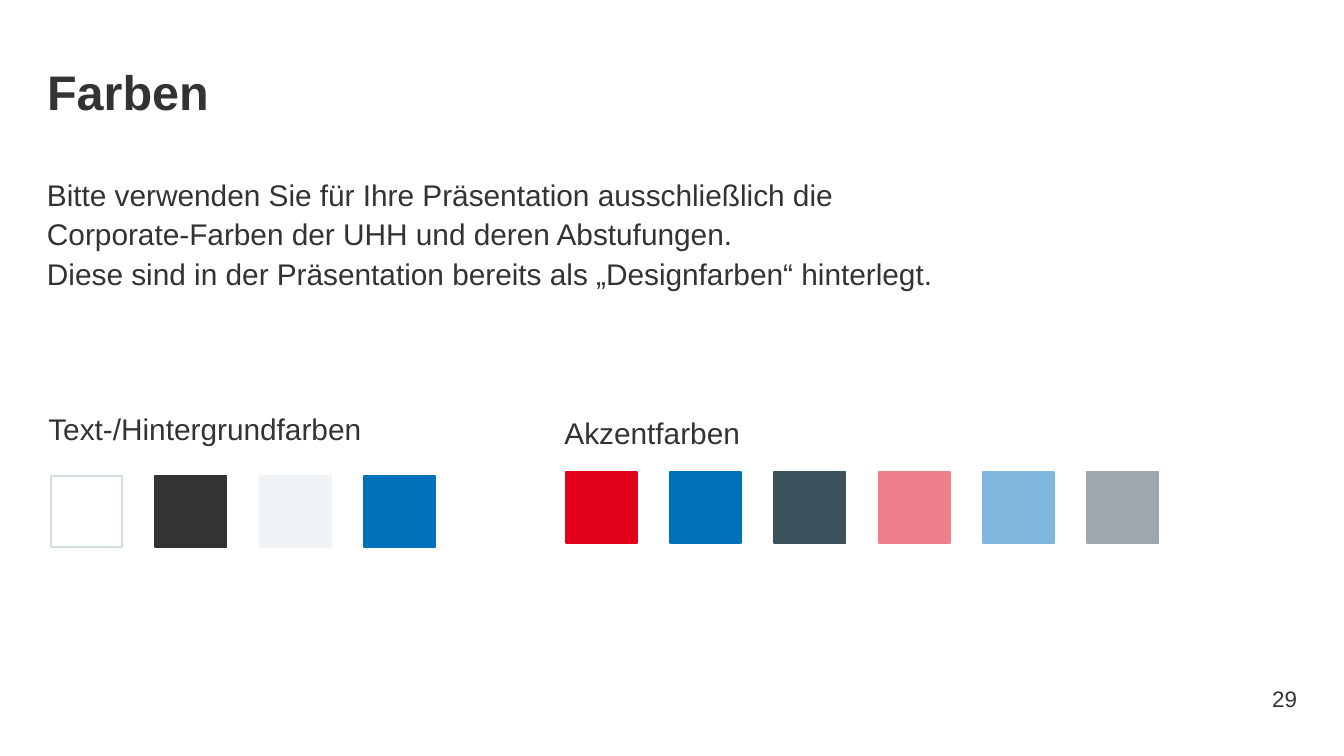
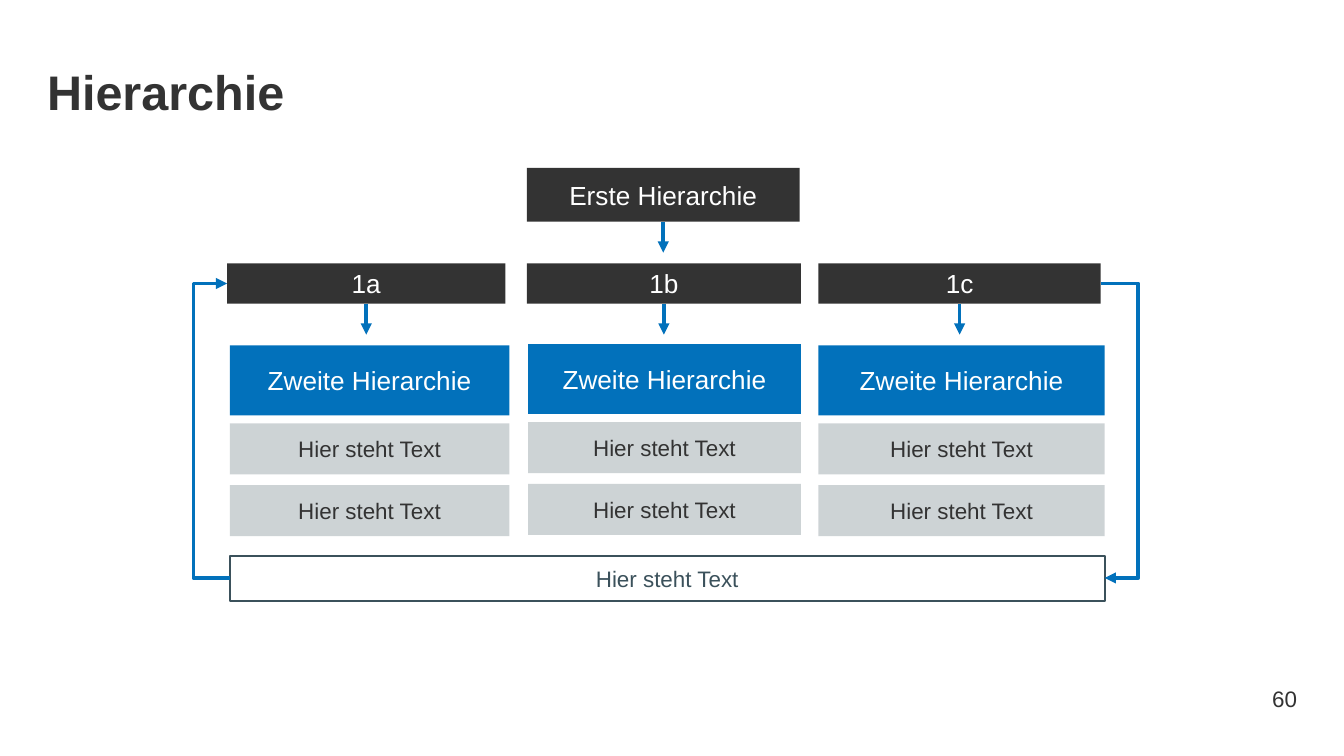
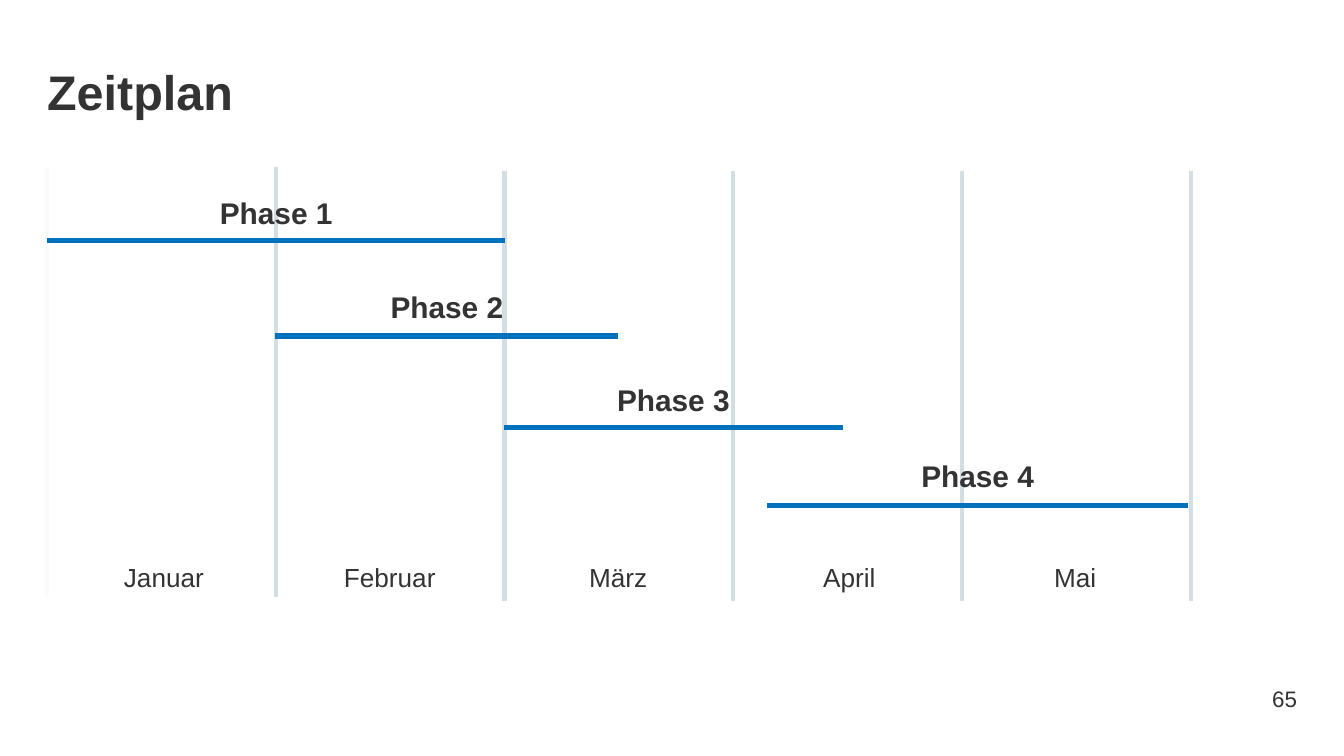
import lxml.etree
import pptx
import pptx.dml.color
import pptx.enum.shapes
import pptx.enum.text
import pptx.oxml.ns
import pptx.util

Inches = pptx.util.Inches
Pt = pptx.util.Pt
qn = pptx.oxml.ns.qn
RGB = pptx.dml.color.RGBColor.from_string
ALIGN = pptx.enum.text.PP_ALIGN
ANCHOR = pptx.enum.text.MSO_ANCHOR
RECTANGLE = pptx.enum.shapes.MSO_SHAPE.RECTANGLE
CONNECTOR = pptx.enum.shapes.MSO_CONNECTOR

FONT = "Arial"
COLORS = {
    "white": "FFFFFF", "dark": "333333", "pale": "F0F3F6", "blue": "0271BB",
    "red": "E2001A", "slate": "3B515B", "rose": "F07F8C", "sky": "80B8DD",
    "gray": "9DA8AD", "rule": "D3DEE3", "faint": "F9FAFB",
}
FLUSH_LEFT = (0, 0.1)
FLUSH_RIGHT = (0.1, 0)


def write(box, text, size, color="dark", bold=False, align=ALIGN.LEFT,
          anchor=ANCHOR.TOP, insets=(0.1, 0.1), spacing=None):
    """Fill a box with one styled paragraph; insets are left and right."""
    frame = box.text_frame
    frame.word_wrap = True
    frame.vertical_anchor = anchor
    frame.margin_left, frame.margin_right = map(Inches, insets)
    frame.margin_top = frame.margin_bottom = Inches(0.05)
    para = frame.paragraphs[0]
    para.text = text
    para.alignment = align
    para.line_spacing = spacing
    for span in para.runs:
        span.font.name = FONT
        span.font.size = Pt(size)
        span.font.bold = bold
        span.font.color.rgb = RGB(COLORS[color])


def draw_line(page, start, end, color, width, arrow=False, kind=CONNECTOR.STRAIGHT):
    line = page.shapes.add_connector(kind, *map(Inches, (*start, *end)))
    line.line.color.rgb = RGB(COLORS[color])
    line.line.width = Pt(width)
    if arrow:
        outline = line.element.xpath("./p:spPr/a:ln")[0]
        lxml.etree.SubElement(outline, qn("a:tailEnd"), type="triangle")
    lxml.etree.SubElement(line.element.spPr, qn("a:effectLst"))
    return line


deck = pptx.Presentation()
deck.slide_width = Inches(10)
deck.slide_height = deck.slide_width * 9 // 16

# Title and page number on every slide
pages = []
for title, number in [("Farben", "29"), ("Hierarchie", "60"), ("Zeitplan", "65")]:
    page = deck.slides.add_slide(deck.slide_layouts[6])
    box = page.shapes.add_textbox(Inches(0.35), Inches(0.37), Inches(9.29), Inches(0.63))
    write(box, title, 26, bold=True, insets=FLUSH_LEFT, spacing=1.1)
    box = page.shapes.add_textbox(Inches(8.93), Inches(5.05), Inches(0.72), Inches(0.3))
    write(box, number, 12, align=ALIGN.RIGHT, anchor=ANCHOR.MIDDLE, insets=FLUSH_RIGHT)
    pages.append(page)
color_page, hierarchy_page, schedule_page = pages

# Farben
box = color_page.shapes.add_textbox(Inches(0.35), Inches(1.24), Inches(6.77), Inches(1.57))
write(box, "Bitte verwenden Sie für Ihre Präsentation ausschließlich die "
      "Corporate-Farben der UHH und deren Abstufungen. \v"
      "Diese sind in der Präsentation bereits als „Designfarben“ hinterlegt.",
      16, insets=FLUSH_LEFT, spacing=1.1)

palettes = [
    ("Text-/Hintergrundfarben", 0.36, 2.95, 0.38, 3.54, ["white", "dark", "pale", "blue"]),
    ("Akzentfarben", 4.2, 2.98, 4.21, 3.51,
     ["red", "blue", "slate", "rose", "sky", "gray"]),
]
swatch_step = (8.09 - 4.21) / 5
for label, label_left, label_top, left, top, names in palettes:
    box = color_page.shapes.add_textbox(
        Inches(label_left), Inches(label_top), Inches(2.75), Inches(0.45))
    write(box, label, 16, insets=FLUSH_LEFT, spacing=1.2)
    box.text_frame.paragraphs[0].space_after = Pt(8)
    for index, name in enumerate(names):
        swatch = color_page.shapes.add_shape(
            RECTANGLE, Inches(left + index * swatch_step), Inches(top),
            Inches(0.53), Inches(0.53))
        swatch.shadow.inherit = False
        swatch.fill.solid()
        swatch.fill.fore_color.rgb = RGB(COLORS[name])
        edge = "rule" if name == "white" else name
        swatch.line.color.rgb = RGB(COLORS[edge])
        swatch.line.width = Pt(1)

# Hierarchie: left, top, width, height, text, size, fill, text colour
boxes = [(3.92, 1.25, 2.03, 0.4, "Erste Hierarchie", 14, "dark", "white")]
columns = [
    ("1a", 1.69, 2.07, 1.71, 2.08, 2.57),
    ("1b", 3.92, 2.04, 3.93, 2.03, 2.56),
    ("1c", 6.09, 2.1, 6.09, 2.13, 2.57),
]
for name, head_left, head_width, left, width, top in columns:
    boxes += [
        (head_left, 1.96, head_width, 0.3, name, 14, "dark", "white"),
        (left, top, width, 0.52, "Zweite Hierarchie", 14, "blue", "white"),
        (left, top + 0.58, width, 0.38, "Hier steht Text", 12, "gray", "dark"),
        (left, top + 1.04, width, 0.38, "Hier steht Text", 12, "gray", "dark"),
    ]
boxes.append((1.71, 4.14, 6.51, 0.33, "Hier steht Text", 12, "white", "slate"))

for left, top, width, height, text, size, fill, ink in boxes:
    box = hierarchy_page.shapes.add_shape(
        RECTANGLE, Inches(left), Inches(top), Inches(width), Inches(height))
    box.shadow.inherit = False
    box.fill.solid()
    box.fill.fore_color.rgb = RGB(COLORS[fill])
    box.line.fill.background()
    write(box, text, size, ink, align=ALIGN.CENTER, anchor=ANCHOR.MIDDLE)
    if fill == "gray":
        tone = box.element.xpath("./p:spPr/a:solidFill/a:srgbClr")[0]
        lxml.etree.SubElement(tone, qn("a:alpha"), val="50000")
    elif fill == "white":
        box.line.color.rgb = RGB(COLORS["slate"])
        box.line.width = Pt(1)
    elif fill == "dark":
        center, bottom = left + width / 2, top + height
        arrow = draw_line(hierarchy_page, (center, bottom), (center, bottom + 0.23),
                          "blue", 2, arrow=True)
        arrow.begin_connect(box, 2)

# Side loops between the heads and the bottom bar
for start, end, bend in [((8.19, 2.11), (8.22, 4.3), 8.47), ((1.71, 4.3), (1.69, 2.11), 1.44)]:
    loop = draw_line(hierarchy_page, start, end, "blue", 2, arrow=True, kind=CONNECTOR.ELBOW)
    ratio = (bend - start[0]) / (end[0] - start[0])
    guides = loop.element.xpath(".//a:avLst")[0]
    lxml.etree.SubElement(guides, qn("a:gd"), name="adj1", fmla=f"val {round(ratio * 100000)}")

# Zeitplan
month_step = (8.86 - 0.35) / 5
for index in range(6):
    left = 0.35 + index * month_step
    top = 1.24 if index < 2 else 1.27
    draw_line(schedule_page, (left, top), (left, top + 3.2),
              "rule" if index else "faint", 2.25)

# Left, right, line height, label top
phases = [
    (0.35, 3.76, 1.79, 1.4),
    (2.05, 4.6, 2.5, 2.1),
    (3.75, 6.27, 3.18, 2.79),
    (5.71, 8.84, 3.76, 3.36),
]
labels = []
for number, (left, right, top, label_top) in enumerate(phases, 1):
    draw_line(schedule_page, (right, top), (left, top), "blue", 3)
    labels.append((left, label_top, right - left, 0.37, f"Phase {number}", 16, True))

months = [("Januar", 0.38), ("Februar", 2.06), ("März", 3.76), ("April", 5.48), ("Mai", 7.16)]
labels += [(left, 4.13, 1.68, 0.34, month, 14, False) for month, left in months]
for left, top, width, height, text, size, bold in labels:
    box = schedule_page.shapes.add_textbox(
        Inches(left), Inches(top), Inches(width), Inches(height))
    write(box, text, size, bold=bold, align=ALIGN.CENTER)
    box.text_frame.auto_size = pptx.enum.text.MSO_AUTO_SIZE.SHAPE_TO_FIT_TEXT

deck.save("out.pptx")
